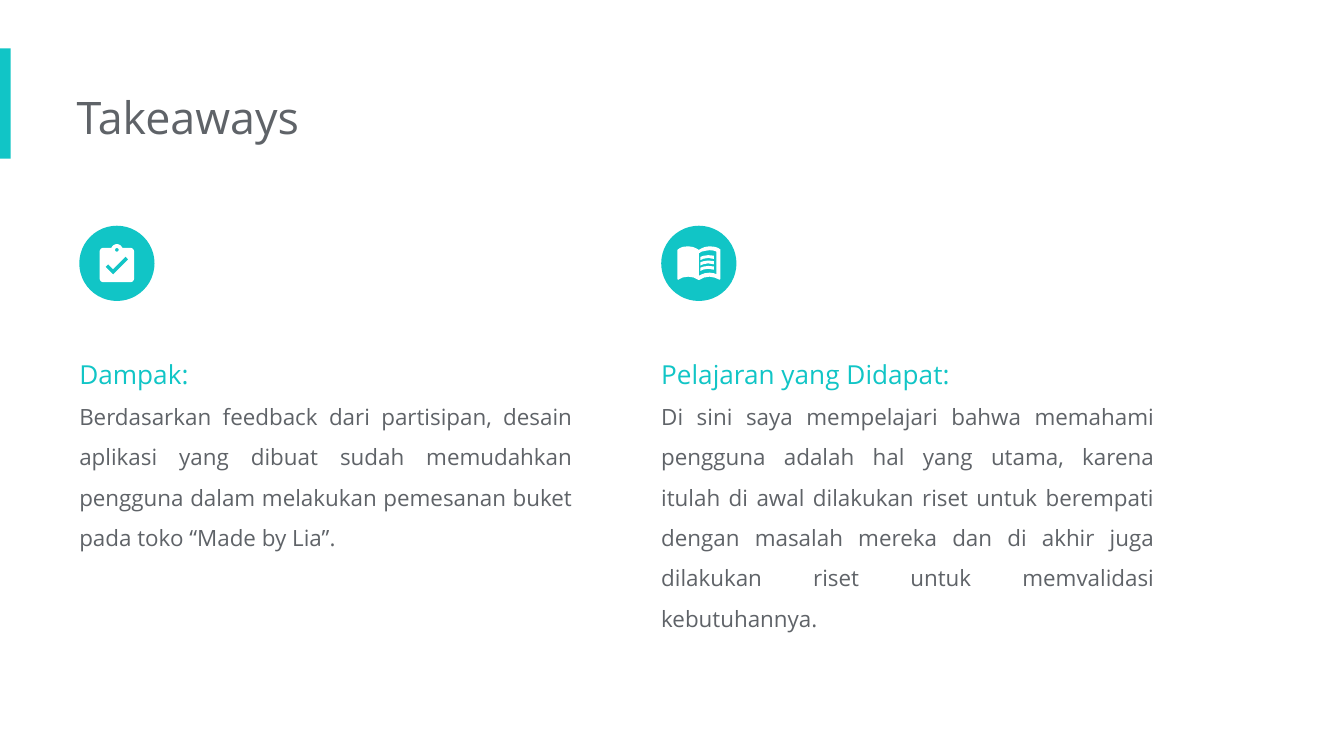
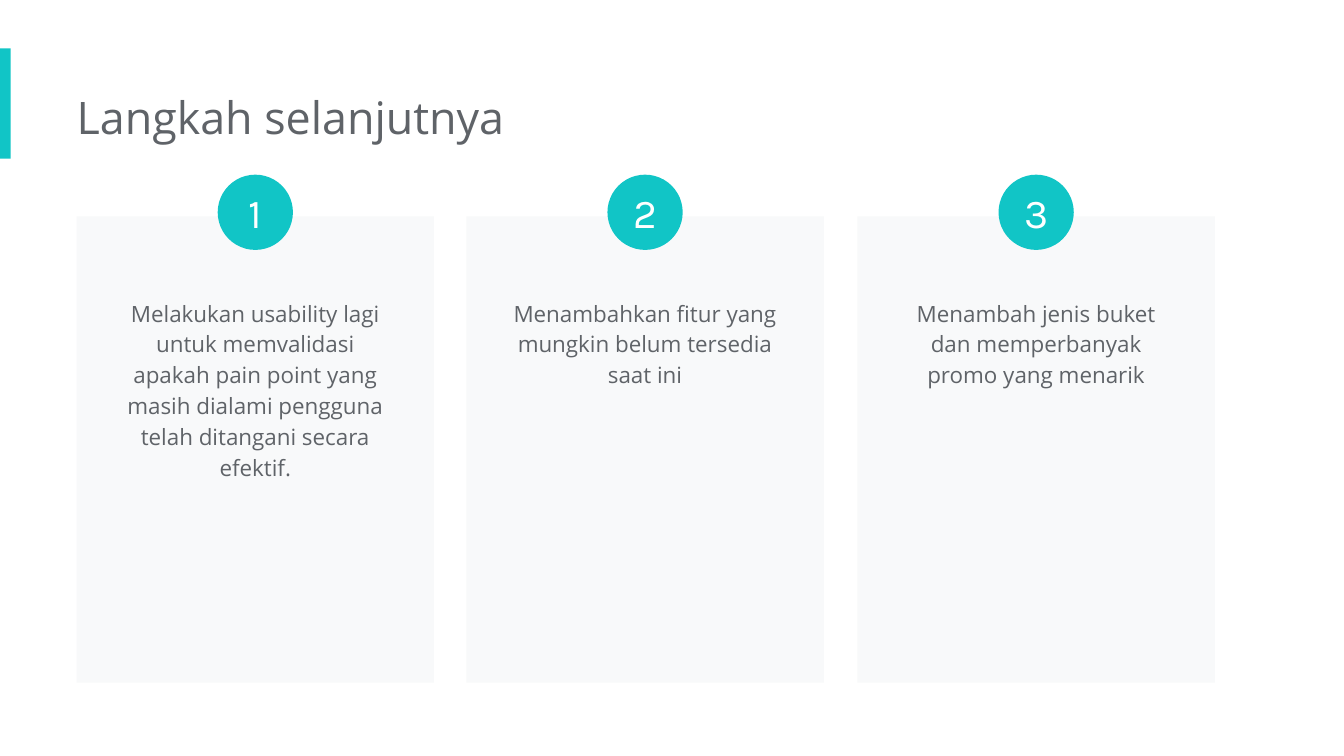
import math

import pptx
import pptx.dml.color
import pptx.enum.shapes
import pptx.enum.text
import pptx.util

PX = 9144  # EMU, 100 px to the inch
ICON_UNIT = PX / 10
SHAPES = pptx.enum.shapes.MSO_SHAPE
ALIGN = pptx.enum.text.PP_ALIGN
ANCHOR = pptx.enum.text.MSO_ANCHOR
AUTO_SIZE = pptx.enum.text.MSO_AUTO_SIZE

TEAL, GRAY, PALE, WHITE = "11C5C6", "5F6368", "F8F9FA", "FFFFFF"
BODY_FONT, NUMBER_FONT = "Open Sans", "Karla"
DISC = 56

TAKEAWAYS = [
    ("Dampak:",
     "Berdasarkan feedback dari partisipan, desain aplikasi yang dibuat sudah "
     "memudahkan pengguna dalam melakukan pemesanan buket pada toko “Made by Lia”.",
     177),
    ("Pelajaran yang Didapat:",
     "Di sini saya mempelajari bahwa memahami pengguna adalah hal yang utama, "
     "karena itulah di awal dilakukan riset untuk berempati dengan masalah mereka "
     "dan di akhir juga dilakukan riset untuk memvalidasi kebutuhannya.",
     237),
]
NEXT_STEPS = [
    ("Melakukan usability lagi untuk memvalidasi apakah pain point yang masih "
     "dialami pengguna telah ditangani secara efektif.", 160),
    ("Menambahkan fitur yang mungkin belum tersedia saat ini", 90),
    ("Menambah jenis buket dan memperbanyak promo yang menarik", 90),
]


def arc(x, y, radius, start, end, steps=12):
    """Points on a circle from one angle to another, in degrees."""
    angles = [math.radians(start + (end - start) * i / steps) for i in range(steps + 1)]
    return [(round(x + radius * math.cos(a)), round(y + radius * math.sin(a)))
            for a in angles]


# An icon is a list of shapes, a shape a list of contours,
# in icon units from the top left of its disc.
CLIPBOARD_ICON = [[
    arc(280, 179, 43, 199.5, 340.5) + arc(380, 192, 28, -90, 0)
    + arc(380, 392, 28, 0, 90) + arc(180, 392, 28, 90, 180)
    + arc(180, 192, 28, 180, 270),
    arc(280, 179, 14, 0, 360),
    [(252, 363), (195, 306), (215, 286), (252, 323), (345, 229), (365, 250)],
]]
BOOK_COVER = [
    (120, 180), (135, 168), (160, 157), (200, 153), (235, 158), (260, 168),
    (280, 180), (300, 168), (325, 158), (360, 153), (400, 157), (425, 166),
    (440, 177), (440, 395), (435, 402), (425, 398), (400, 387), (360, 379),
    (320, 385), (295, 397), (280, 404), (265, 397), (240, 385), (200, 379),
    (160, 385), (135, 397), (125, 403), (120, 395),
]
BOOK_PAGE = [
    (280, 205), (300, 193), (325, 187), (360, 182), (390, 185), (410, 192),
    (410, 360), (390, 353), (360, 349), (325, 353), (300, 362), (280, 372),
]
BOOK_LINE = [
    (292, 232), (315, 224), (350, 219), (392, 223),
    (392, 247), (350, 240), (315, 246), (292, 256),
]
BOOK_ICON = [[BOOK_COVER, BOOK_PAGE]] + [
    [[(x, y + 40 * row) for x, y in BOOK_LINE]] for row in range(3)]


def color(value):
    return pptx.dml.color.RGBColor.from_string(value)


def px(*lengths):
    return [pptx.util.Emu(length * PX) for length in lengths]


def paint(shape, fill):
    shape.shadow.inherit = False
    shape.fill.solid()
    shape.fill.fore_color.rgb = color(fill)
    shape.line.fill.background()


def add_block(page, kind, left, top, width, height, fill):
    shape = page.shapes.add_shape(kind, *px(left, top, width, height))
    paint(shape, fill)
    return shape


def add_disc(page, left, top):
    return add_block(page, SHAPES.OVAL, left, top, DISC, DISC, TEAL)


def set_frame(frame, margins, anchor=ANCHOR.TOP, auto_size=AUTO_SIZE.SHAPE_TO_FIT_TEXT):
    frame.word_wrap = True
    frame.auto_size = auto_size
    frame.vertical_anchor = anchor
    (frame.margin_left, frame.margin_top,
     frame.margin_right, frame.margin_bottom) = px(*margins)


def format_para(para, size, ink, align=ALIGN.LEFT, spacing=1.0, font=BODY_FONT):
    para.alignment = align
    para.line_spacing = spacing
    for span in para.runs:
        span.font.size = pptx.util.Pt(size)
        span.font.name = font
        span.font.color.rgb = color(ink)


def add_text(page, left, top, width, height, text, left_margin):
    box = page.shapes.add_textbox(*px(left, top, width, height))
    box.text_frame.text = text
    set_frame(box.text_frame, (left_margin, 10, 10, 10))
    return box.text_frame.paragraphs


def add_page(deck, heading):
    page = deck.slides.add_slide(deck.slide_layouts.get_by_name("Title Only"))
    add_block(page, SHAPES.RECTANGLE, 0, 36, 8, 82, TEAL)
    title = page.shapes.title
    title.left, title.top, title.width, title.height = px(57, 57, 539, 61)
    title.text_frame.text = heading
    set_frame(title.text_frame, (0, 10, 10, 10))
    format_para(title.text_frame.paragraphs[0], 24, GRAY)
    return page


def add_icon(page, left, top, icon):
    for contours in icon:
        builder = page.shapes.build_freeform(*contours[0][0], scale=ICON_UNIT)
        builder.add_line_segments(contours[0][1:], close=True)
        for contour in contours[1:]:
            builder.move_to(*contour[0])
            builder.add_line_segments(contour[1:], close=True)
        paint(builder.convert_to_shape(*px(left, top)), WHITE)


def add_takeaway(page, left, top, takeaway, icon):
    heading, body, height = takeaway
    add_disc(page, left, top)
    add_icon(page, left, top, icon)
    paras = add_text(page, left, top + 77, 377, height, f"{heading}\n{body}", 0)
    format_para(paras[0], 14, TEAL, spacing=1.5)
    format_para(paras[1], 12, GRAY, ALIGN.JUSTIFY, 1.5)


def add_step_card(page, left, top, number, step):
    width = 266
    text, height = step
    add_block(page, SHAPES.RECTANGLE, left, top, width, 347, PALE)
    paras = add_text(page, left + 21, top + 49, width - 42, height, text, 10)
    format_para(paras[0], 12, GRAY, ALIGN.CENTER, 1.15)

    disc = add_disc(page, left + (width - DISC) // 2, top - 31)
    disc.text_frame.text = str(number)
    set_frame(disc.text_frame, (0, 0, 0, 0), ANCHOR.MIDDLE, AUTO_SIZE.NONE)
    format_para(disc.text_frame.paragraphs[0], 22, WHITE, ALIGN.CENTER, font=NUMBER_FONT)


def build_takeaways(deck):
    page = add_page(deck, "Takeaways")
    icons = [CLIPBOARD_ICON, BOOK_ICON]
    for index, (takeaway, icon) in enumerate(zip(TAKEAWAYS, icons)):
        add_takeaway(page, 59 + 433 * index, 168, takeaway, icon)


def build_next_steps(deck):
    page = add_page(deck, "Langkah selanjutnya")
    for index, step in enumerate(NEXT_STEPS):
        add_step_card(page, 57 + 581 * index // 2, 161, index + 1, step)


def main():
    deck = pptx.Presentation()
    deck.slide_width = pptx.util.Emu(1000 * PX)
    deck.slide_height = pptx.util.Emu(deck.slide_width * 9 // 16)
    build_takeaways(deck)
    build_next_steps(deck)
    deck.save("out.pptx")


if __name__ == "__main__":
    main()
